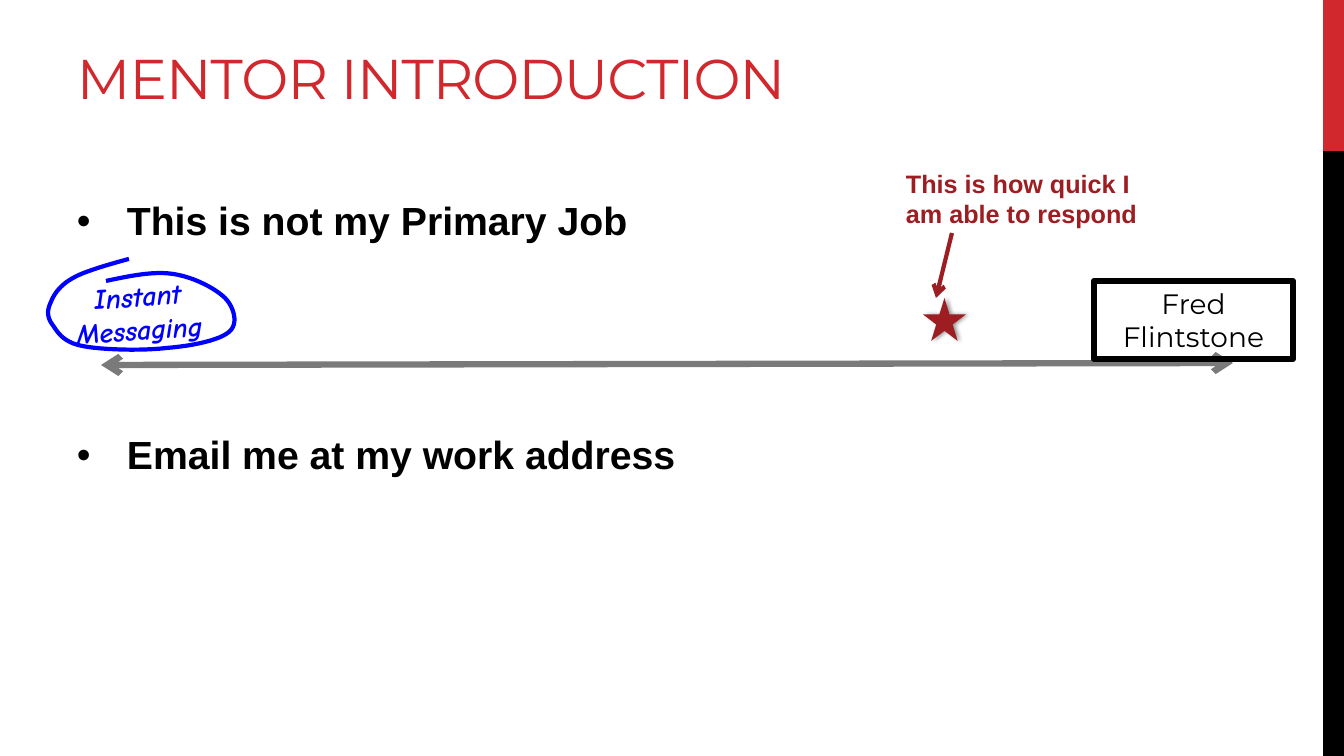
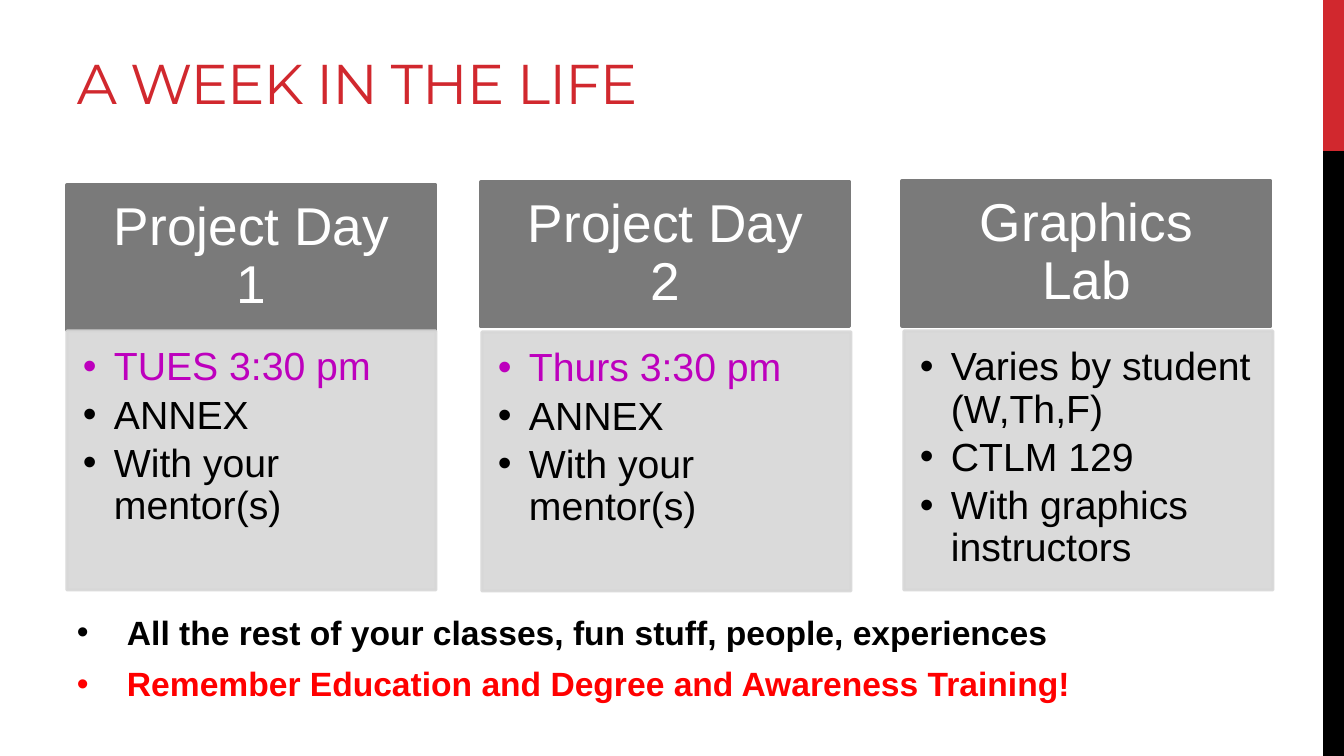
from lxml import etree
from pptx import Presentation
from pptx import util as u
from pptx.dml.color import RGBColor
from pptx.enum import shapes, text
from pptx.oxml.ns import qn

SCALE = 12192000 / 1344
RED, BLACK, GRAY, PALE, WHITE = "D1282E", "000000", "7A7A7A", "D7D7D7", "FFFFFF"
DARK_RED, BLUE, PURPLE, BRIGHT_RED = "9D1E22", "0000FF", "BD00BD", "FF0000"
BANDS = [((1323, 0, 21, 151), RED), ((1323, 151, 21, 605), BLACK)]
INSETS = (10, 5, 10, 5)

MENTOR_POINTS = [("This is not my Primary Job", BLACK, 0), ("Email me at my work address", BLACK, 131)]
WEEK_POINTS = [
    ("All the rest of your classes, fun stuff, people, experiences", BLACK, 0),
    ("Remember Education and Degree and Awareness Training!", BRIGHT_RED, 4.8),
]
ARROWS = [
    ((101, 365, 1233, 363), GRAY, 4.5, ("headEnd", "tailEnd")),
    ((952, 233, 936, 298), DARK_RED, 3, ("tailEnd",)),
]
LOOP_START = (106, 281)
LOOP_CURVES = [
    ((130, 276), (153, 271), (173, 274)),
    ((194, 277), (216, 289), (225, 298)),
    ((234, 307), (239, 324), (229, 332)),
    ((220, 340), (193, 346), (167, 348)),
    ((143, 351), (101, 350), (82, 346)),
    ((62, 342), (57, 331), (52, 324)),
    ((47, 317), (47, 310), (51, 302)),
    ((54, 294), (61, 284), (75, 277)),
    ((87, 270), (129, 259), (129, 259)),
]
CARD_W, HEAD_H, BODY_H = 369, 145, 259
CARDS = [
    ("Project Day 1", (67, 185), (67, 331),
     [("TUES 3:30 pm", PURPLE), ("ANNEX", BLACK), ("With your mentor(s)", BLACK)]),
    ("Project Day 2", (481, 182), (482, 332),
     [("Thurs 3:30 pm", PURPLE), ("ANNEX", BLACK), ("With your mentor(s)", BLACK)]),
    ("Graphics Lab", (902, 181), (904, 331),
     [("Varies by student (W,Th,F)", BLACK), ("CTLM 129", BLACK), ("With graphics instructors", BLACK)]),
]


def px(n):
    return u.Emu(round(n * SCALE))


def rgb(color):
    return RGBColor.from_string(color)


def sub(parent, tag, **attrs):
    return etree.SubElement(parent, qn("a:" + tag), {k: str(v) for k, v in attrs.items()})


def add_alpha(fill, percent):
    color = fill.fore_color
    for node in color._xFill.iter(qn("a:srgbClr")):
        sub(node, "alpha", val=percent * 1000)


def add_shape(s, box, fill=None, line=None, weight=2.25, kind=shapes.MSO_SHAPE.RECTANGLE):
    sp = s.shapes.add_shape(kind, *map(px, box))
    sp.shadow.inherit = False
    paint(sp, fill, line, weight)
    return sp


def paint(sp, fill, line, weight):
    if fill:
        sp.fill.solid()
        sp.fill.fore_color.rgb = rgb(fill)
    else:
        sp.fill.background()
    if line:
        sp.line.color.rgb = rgb(line)
        sp.line.width = u.Pt(weight)
    else:
        sp.line.fill.background()


def add_textbox(s, box):
    return s.shapes.add_textbox(*map(px, box))


def frame(sp, insets=INSETS, anchor=text.MSO_ANCHOR.TOP):
    tf = sp.text_frame
    tf.word_wrap = True
    tf.vertical_anchor = anchor
    tf.margin_left, tf.margin_top, tf.margin_right, tf.margin_bottom = map(px, insets)
    return tf


def write(p, words, size, color, font="Arial", bold=False, italic=False, center=False):
    p.alignment = text.PP_ALIGN.CENTER if center else text.PP_ALIGN.LEFT
    r = p.add_run()
    r.text = words
    f = r.font
    f.name, f.size, f.bold, f.italic = font, u.Pt(size), bold, italic
    f.color.rgb = rgb(color)
    return r


def write_bullets(tf, items, size, indent, after, bold=False):
    for i, (words, color, before) in enumerate(items):
        p = tf.paragraphs[0] if i == 0 else tf.add_paragraph()
        p.line_spacing = 0.9
        p.space_before, p.space_after = u.Pt(before), u.Pt(after)
        pPr = p._p.get_or_add_pPr()
        pPr.set("marL", str(px(indent)))
        pPr.set("indent", str(-px(indent)))
        sub(pPr, "buFont", typeface="Arial")
        sub(pPr, "buChar", char="•")
        write(p, words, size, color, bold=bold)


def add_arrow(s, ends, color, weight, heads):
    line = s.shapes.add_connector(shapes.MSO_CONNECTOR.STRAIGHT, *map(px, ends))
    line.line.color.rgb = rgb(color)
    line.line.width = u.Pt(weight)
    for head in heads:
        sub(line.line._get_or_add_ln(), head, type="arrow")
    sub(line._element.spPr, "effectLst")


def curve_points(start, curves, steps=12):
    for c1, c2, end in curves:
        for i in range(1, steps + 1):
            t = i / steps
            weights = ((1 - t) ** 3, 3 * t * (1 - t) ** 2, 3 * t * t * (1 - t), t ** 3)
            yield tuple(px(sum(w * q[axis] for w, q in zip(weights, (start, c1, c2, end))))
                        for axis in (0, 1))
        start = end


def add_loop(s):
    builder = s.shapes.build_freeform(*map(px, LOOP_START))
    builder.add_line_segments(list(curve_points(LOOP_START, LOOP_CURVES)), close=False)
    sp = builder.convert_to_shape()
    sp.shadow.inherit = False
    paint(sp, None, BLUE, 3)
    sub(sp.line._get_or_add_ln(), "round")


def add_star(s, box):
    sp = add_shape(s, box, DARK_RED, kind=shapes.MSO_SHAPE.STAR_5_POINT)
    effects = sp._element.spPr.find(qn("a:effectLst"))
    shadow = sub(effects, "outerShdw", blurRad=u.Pt(3.1), dist=u.Pt(1.8), dir=0)
    sub(sub(shadow, "srgbClr", val=BLACK), "alpha", val=40000)


def add_slide(prs, title, box):
    s = prs.slides.add_slide(prs.slide_layouts[6])
    for band, color in BANDS:
        add_shape(s, band, color)
    tf = frame(add_textbox(s, box), anchor=text.MSO_ANCHOR.BOTTOM)
    r = write(tf.paragraphs[0], title, 40, RED, "Montserrat")
    r._r.get_or_add_rPr().set("spc", "-60")
    return s


def mentor_slide(prs):
    s = add_slide(prs, "MENTOR INTRODUCTION", (67, 27, 851, 89))
    write_bullets(frame(add_textbox(s, (67, 197, 1120, 482))), MENTOR_POINTS, 28, 50, 6, bold=True)
    for arrow in ARROWS:
        add_arrow(s, *arrow)
    name = add_shape(s, (1094, 281, 199, 78), line=BLACK, weight=4.5)
    write(frame(name).paragraphs[0], "Fred Flintstone", 20, BLACK, "Montserrat", center=True)
    chat = add_textbox(s, (23, 274, 231, 78))
    chat.rotation = -3.7
    write(frame(chat).paragraphs[0], "Instant Messaging", 20, BLUE, "Comic Neue", True, True, True)
    add_loop(s)
    add_star(s, (923, 298, 43, 43))
    note = frame(add_textbox(s, (899, 164, 248, 69)), (7, 4, 7, 4))
    write(note.paragraphs[0], "This is how quick I am able to respond", 18, DARK_RED, bold=True)


def add_card(s, heading, head_at, body_at, items):
    head = add_shape(s, (*head_at, CARD_W, HEAD_H), GRAY, GRAY)
    p = frame(head, (30, 17, 30, 17), text.MSO_ANCHOR.MIDDLE).paragraphs[0]
    p.line_spacing = 0.9
    write(p, heading, 38, WHITE, center=True)
    body = add_shape(s, (*body_at, CARD_W, BODY_H), PALE, PALE)
    for node in body._element.spPr.iter(qn("a:srgbClr")):
        sub(node, "alpha", val=90000)
    rows = [(words, color, 0) for words, color in items]
    write_bullets(frame(body, (16, 16, 22, 24)), rows, 28, 31, 4.2)


def week_slide(prs):
    s = add_slide(prs, "A WEEK IN THE LIFE", (67, 19, 1221, 102))
    for card in CARDS:
        add_card(s, *card)
    write_bullets(frame(add_textbox(s, (67, 611, 1120, 69))), WEEK_POINTS, 24, 50, 6, bold=True)


def main():
    prs = Presentation()
    prs.slide_width, prs.slide_height = px(1344), px(756)
    mentor_slide(prs)
    week_slide(prs)
    prs.save("out.pptx")


if __name__ == "__main__":
    main()
